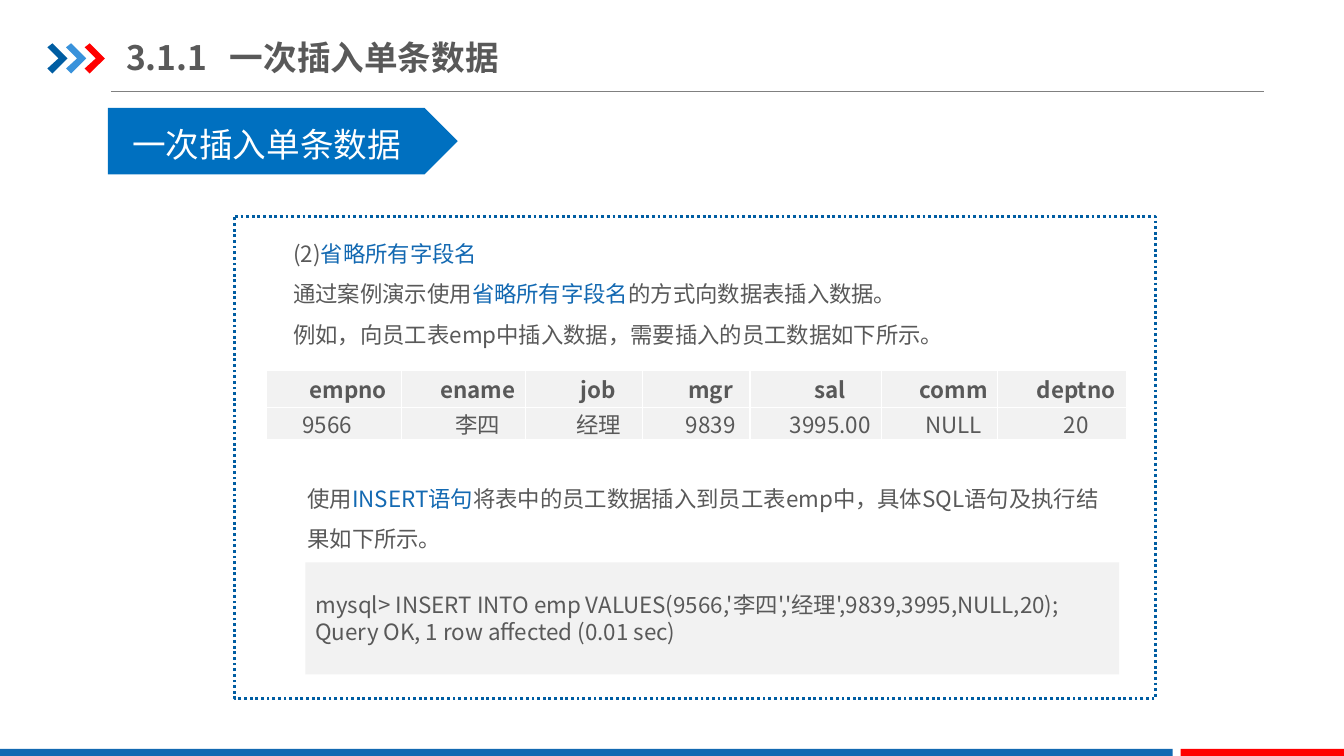
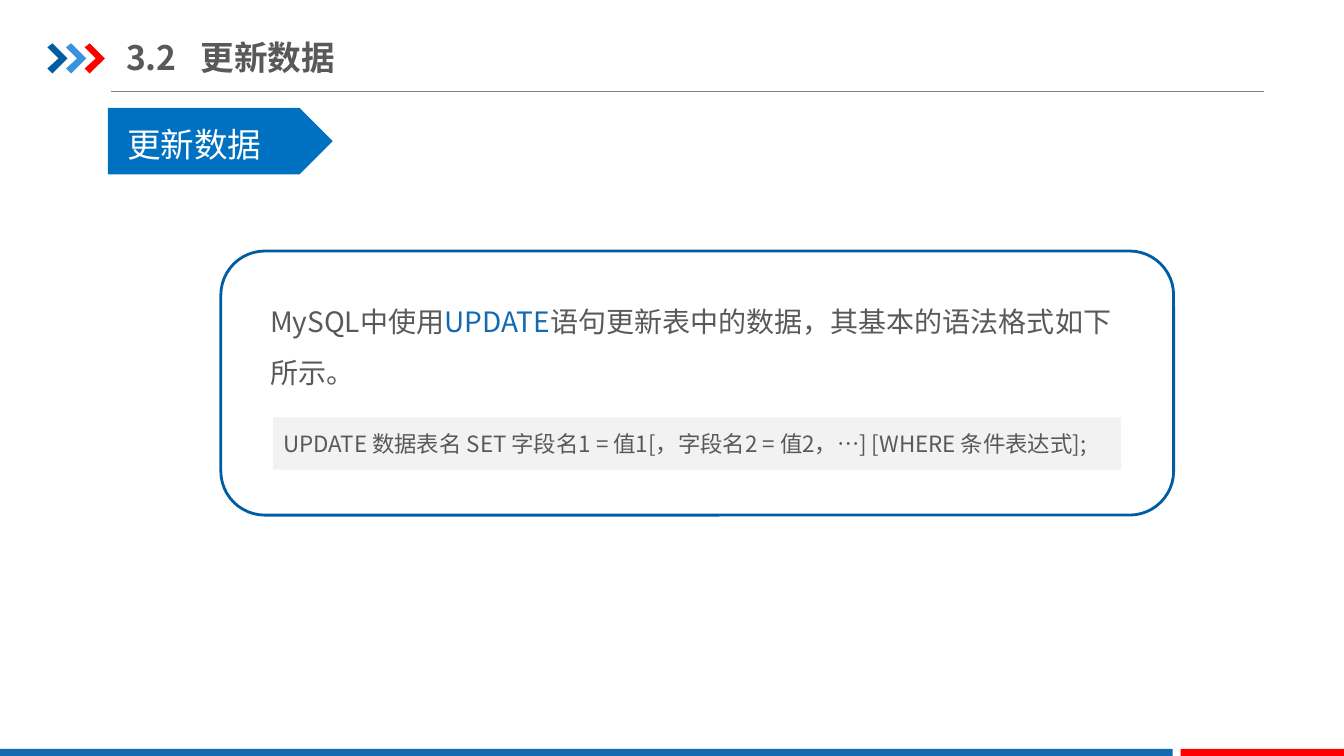
from dataclasses import dataclass

from lxml.etree import SubElement
from pptx import Presentation
from pptx.dml.color import RGBColor
from pptx.enum.dml import MSO_LINE
from pptx.enum.shapes import MSO_CONNECTOR, MSO_SHAPE
from pptx.enum.text import MSO_ANCHOR, MSO_AUTO_SIZE, PP_ALIGN
from pptx.oxml.ns import qn
from pptx.util import Inches, Pt

# Content: text between bars is highlighted
INSERT = {
    "title": "3.1.1\t一次插入单条数据",
    "banner": "一次插入单条数据",
    "intro": [
        "(2)|省略所有字段名|",
        "通过案例演示使用|省略所有字段名|的方式向数据表插入数据。",
        "例如，向员工表emp中插入数据，需要插入的员工数据如下所示。",
    ],
    "employee": [
        ["empno", "ename", "job", "mgr", "sal", "comm", "deptno"],
        ["9566", "李四", "经理", "9839", "3995.00", "NULL", "20"],
    ],
    "usage": ["使用|INSERT语句|将表中的员工数据插入到员工表emp中，具体SQL语句及执行结果如下所示。"],
    "code": [
        "mysql> INSERT INTO emp VALUES(9566,'李四','经理',9839,3995,NULL,20);",
        "Query OK, 1 row affected (0.01 sec)",
    ],
}
UPDATE = {
    "title": "3.2\t更新数据",
    "banner": "更新数据",
    "usage": ["MySQL中使用|UPDATE|语句更新表中的数据，其基本的语法格式如下所示。"],
    "code": ["UPDATE 数据表名 SET 字段名1 = 值1[，字段名2 = 值2，…] [WHERE 条件表达式];"],
}


@dataclass(frozen=True)
class Theme:
    font: str = "Noto Sans CJK SC"
    text: str = "595959"
    accent: str = "1369B2"
    navy: str = "005DA2"
    sky: str = "3992DB"
    red: str = "FF0000"
    banner: str = "0070C0"
    panel: str = "F2F2F2"
    white: str = "FFFFFF"
    rule: str = "808080"
    heading: int = 24
    lead: int = 20
    body: int = 16


THEME = Theme()
TITLE_TABS = (0.74, 1.03)  # heading text follows a short or a long number
COLUMN_WIDTHS = (1.34, 1.23, 1.16, 1.07, 1.3, 1.15, 1.28)
ROW_HEIGHTS = (0.37, 0.32)


def rgb(value):
    return RGBColor.from_string(value)


def inches(*values):
    return [Inches(value) for value in values]


def style_run(run, size, color, bold=False):
    font = run.font
    font.size, font.bold, font.name = Pt(size), bold, THEME.font
    font.color.rgb = rgb(color)
    SubElement(run._r.get_or_add_rPr(), qn("a:ea"), typeface=THEME.font)


def write(frame, lines, size=THEME.body, color=THEME.text, bold=False,
          spacing=None, align=PP_ALIGN.LEFT):
    """Fill a text frame, one paragraph a line."""
    frame.word_wrap = True
    for index, line in enumerate(lines):
        paragraph = frame.paragraphs[0] if index == 0 else frame.add_paragraph()
        paragraph.alignment = align
        if spacing:
            paragraph.line_spacing = spacing
        for part, piece in enumerate(line.split("|")):
            if piece:
                run = paragraph.add_run()
                run.text = piece
                style_run(run, size, THEME.accent if part % 2 else color, bold)


def paint(shape, fill, line=None):
    shape.shadow.inherit = False
    shape.fill.solid()
    shape.fill.fore_color.rgb = rgb(fill)
    if line:
        shape.line.color.rgb = rgb(line)
        shape.line.width = Pt(2)
    else:
        shape.line.fill.background()
    return shape


def add_box(slide, kind, at, fill, line=None):
    return paint(slide.shapes.add_shape(kind, *inches(*at)), fill, line)


# Shared parts
def prepare_layout(layout):
    """Place the title and clear the placeholders that are not used."""
    for placeholder in list(layout.placeholders):
        if placeholder.placeholder_format.idx:
            layout.shapes.element.remove(placeholder.element)
    title = layout.placeholders[0]
    title.left, title.top, title.width, title.height = inches(1.25, 0.29, 4.26, 0.55)
    frame = title.text_frame
    frame.margin_left = frame.margin_right = 0
    frame.margin_top = frame.margin_bottom = Inches(0.07)
    frame.vertical_anchor = MSO_ANCHOR.MIDDLE
    frame.auto_size = MSO_AUTO_SIZE.NONE


def decorate_layout(layout, slide):
    """Draw the rule, chevrons and footer once, then move them to the layout."""
    rule = slide.shapes.add_connector(MSO_CONNECTOR.STRAIGHT, *inches(1.1, 0.91, 12.54, 0.91))
    rule.line.color.rgb = rgb(THEME.rule)
    rule.line.width = Pt(0.75)
    SubElement(rule.element.spPr, qn("a:effectLst"))
    decorations = [rule]

    outline = [(0, 0.04), (0.05, 0), (0.2, 0.15), (0.05, 0.3), (0, 0.25), (0.11, 0.15)]
    for index, color in enumerate((THEME.navy, THEME.sky, THEME.red)):
        left = 0.47 + index * 0.185
        points = [inches(left + x, 0.43 + y) for x, y in outline]
        builder = slide.shapes.build_freeform(*points[0])
        builder.add_line_segments(points[1:], close=True)
        decorations.append(paint(builder.convert_to_shape(), color))

    for left, width, color in ((0, 11.63, THEME.accent), (11.71, 1.62, THEME.red)):
        decorations.append(add_box(slide, MSO_SHAPE.RECTANGLE, (left, 7.43, width, 0.07), color))

    for number, decoration in enumerate(decorations, start=20):
        decoration.element.xpath(".//p:cNvPr")[0].set("id", str(number))
        layout.shapes.element.append(decoration.element)


def add_heading(slide, content, banner_width, banner_inset):
    title = slide.shapes.title.text_frame
    write(title, [content["title"]], THEME.heading, bold=True)
    tabs = SubElement(title.paragraphs[0]._p.get_or_add_pPr(), qn("a:tabLst"))
    for stop in TITLE_TABS:
        SubElement(tabs, qn("a:tab"), pos=str(Inches(stop)), algn="l")

    banner = add_box(slide, MSO_SHAPE.PENTAGON, (1.07, 1.07, banner_width, 0.66), THEME.banner)
    frame = banner.text_frame
    frame.margin_left, frame.margin_right = inches(banner_inset, 0)
    frame.margin_top, frame.margin_bottom = inches(0.06, 0)
    frame.vertical_anchor = MSO_ANCHOR.MIDDLE
    write(frame, [content["banner"]], THEME.heading, THEME.white)


def add_prose(slide, at, lines, size=THEME.body):
    frame = slide.shapes.add_textbox(*inches(*at)).text_frame
    write(frame, lines, size, spacing=1.5)


def add_code(slide, at, lines):
    code = add_box(slide, MSO_SHAPE.RECTANGLE, at, THEME.panel)
    code.text_frame.vertical_anchor = MSO_ANCHOR.MIDDLE
    write(code.text_frame, lines)


def add_employee_table(slide, left, top, rows):
    size = inches(left, top, sum(COLUMN_WIDTHS), sum(ROW_HEIGHTS))
    table = slide.shapes.add_table(len(rows), len(rows[0]), *size).table
    table.horz_banding = False
    for column, width in zip(table.columns, COLUMN_WIDTHS):
        column.width = Inches(width)
    for r, (row, height) in enumerate(zip(rows, ROW_HEIGHTS)):
        table.rows[r].height = Inches(height)
        for c, value in enumerate(row):
            style_cell(table.cell(r, c), value, header=r == 0, justified=r == 1 and c == 0)


def style_cell(cell, value, header, justified):
    cell.margin_left = cell.margin_right = Inches(0.07)
    cell.margin_top = cell.margin_bottom = 0
    cell.vertical_anchor = MSO_ANCHOR.MIDDLE
    write(cell.text_frame, [value], bold=header,
          align=PP_ALIGN.JUSTIFY if justified else PP_ALIGN.CENTER)
    cell.text_frame.paragraphs[0]._p.get_or_add_pPr().set("indent", str(Inches(0.29)))
    properties = cell._tc.get_or_add_tcPr()
    for side in ("a:lnL", "a:lnR", "a:lnT", "a:lnB"):
        border = SubElement(properties, qn(side), w=str(Pt(1)))
        SubElement(SubElement(border, qn("a:solidFill")), qn("a:srgbClr"), val=THEME.white)
    cell.fill.solid()
    cell.fill.fore_color.rgb = rgb(THEME.panel)


# Slides
def build_insert(slide):
    add_heading(slide, INSERT, 3.47, 0.24)
    frame = add_box(slide, MSO_SHAPE.FLOWCHART_PROCESS, (2.33, 2.15, 9.13, 4.78),
                    THEME.white, THEME.navy)
    frame.line.dash_style = MSO_LINE.ROUND_DOT
    add_prose(slide, (2.81, 2.2, 8.21, 1.31), INSERT["intro"])
    add_employee_table(slide, 2.64, 3.67, INSERT["employee"])
    add_prose(slide, (2.95, 4.63, 8.21, 0.91), INSERT["usage"])
    add_code(slide, (3.03, 5.58, 8.07, 1.11), INSERT["code"])


def build_update(slide):
    add_heading(slide, UPDATE, 2.23, 0.19)
    add_box(slide, MSO_SHAPE.FLOWCHART_ALTERNATE_PROCESS, (2.19, 2.49, 9.45, 2.62),
            THEME.white, THEME.navy)
    add_prose(slide, (2.58, 2.81, 8.75, 1.11), UPDATE["usage"], THEME.lead)
    add_code(slide, (2.71, 4.14, 8.41, 0.52), UPDATE["code"])


def main():
    deck = Presentation()
    deck.slide_width, deck.slide_height = inches(13.33, 7.5)
    layout = deck.slide_layouts[5]
    prepare_layout(layout)
    slides = [deck.slides.add_slide(layout) for _ in range(2)]
    decorate_layout(layout, slides[0])
    build_insert(slides[0])
    build_update(slides[1])
    deck.save("out.pptx")


if __name__ == "__main__":
    main()
